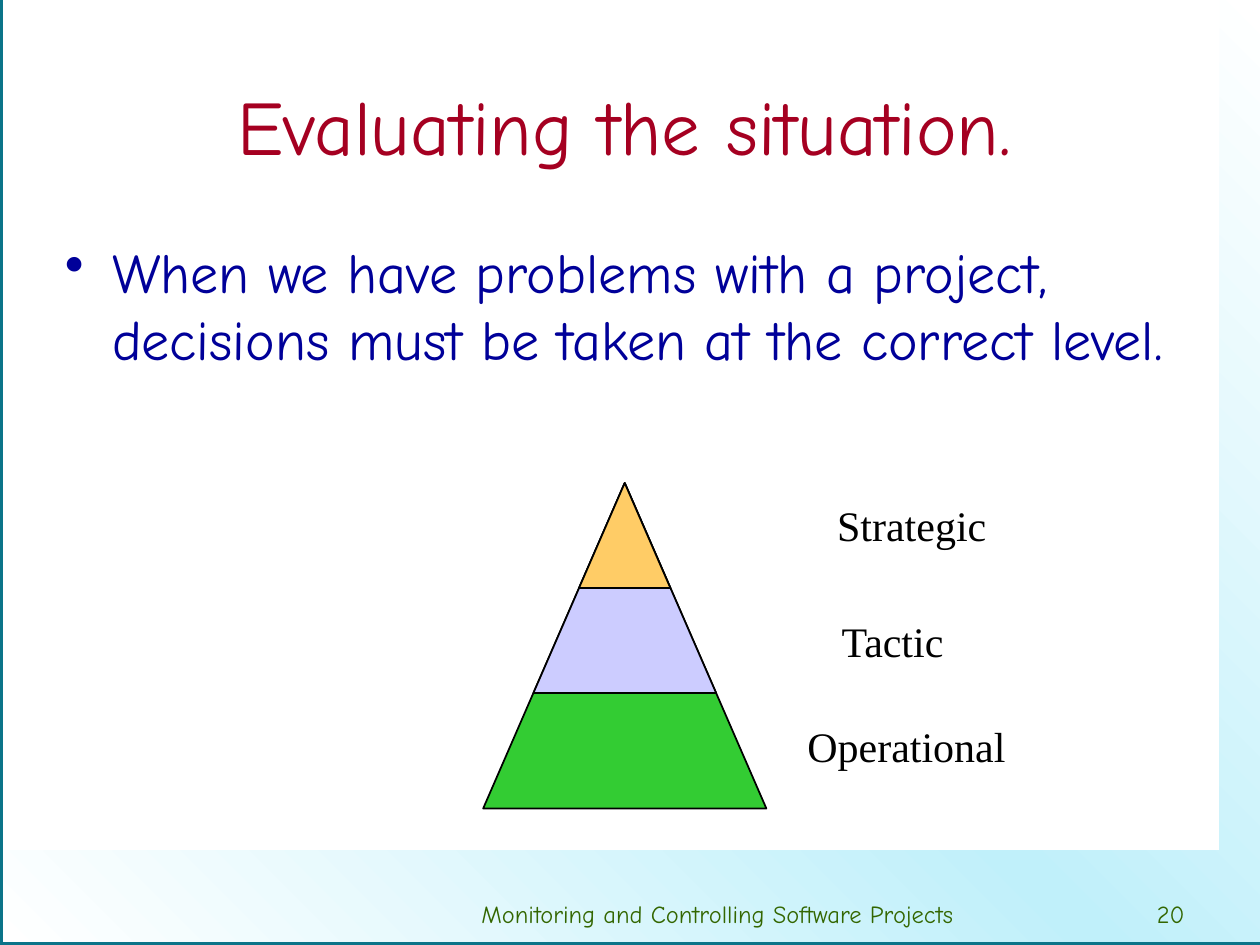
from copy import deepcopy
from dataclasses import dataclass

from lxml import etree
from pptx import Presentation
from pptx import util as u
from pptx.dml import color
from pptx.enum import shapes, text
from pptx.oxml import ns


@dataclass(frozen=True)
class Theme:
    hand: str = "Comic Neue"
    serif: str = "Times New Roman"
    title: str = "A50021"
    body: str = "000099"
    footer: str = "336600"
    ink: str = "000000"
    frame: str = "0B7489"
    band: tuple = ("FFFFFF", "C0F0FA", "FFFFFF")
    operational: str = "33CC33"
    tactic: str = "CCCCFF"
    strategic: str = "FFCC66"
    title_size: int = 44
    body_size: int = 32
    label_size: int = 24
    footer_size: int = 14


class SlideBuilder:
    def __init__(self, slide, theme):
        self.slide = slide
        self.theme = theme

    def outline(self, points, closed):
        path = self.slide.shapes.build_freeform(*points[0], scale=u.Pt(1))
        path.add_line_segments(points[1:], close=closed)
        figure = path.convert_to_shape()
        figure.shadow.inherit = False
        return figure

    def margin_band(self, points):
        band = self.outline(points, True)
        band.line.fill.background()
        band.fill.gradient()
        band.fill.gradient_angle = 45
        stops = band.fill.gradient_stops
        last = band._element.spPr.find(".//" + ns.qn("a:gsLst"))[-1]
        last.addprevious(deepcopy(last))
        stops = band.fill.gradient_stops
        for stop, position, rgb in zip(stops, (0, 0.5, 1), self.theme.band):
            stop.position = position
            stop.color.rgb = color.RGBColor.from_string(rgb)

    def frame(self, points):
        border = self.outline(points, False)
        border.fill.background()
        border.line.color.rgb = color.RGBColor.from_string(self.theme.frame)
        border.line.width = u.Pt(3)

    def triangle(self, apex_x, top, height, ratio, rgb):
        width = height * ratio
        level = self.slide.shapes.add_shape(
            shapes.MSO_SHAPE.ISOSCELES_TRIANGLE,
            u.Pt(apex_x - width / 2), u.Pt(top), u.Pt(width), u.Pt(height))
        level.shadow.inherit = False
        level.fill.solid()
        level.fill.fore_color.rgb = color.RGBColor.from_string(rgb)
        level.line.color.rgb = color.RGBColor.from_string(self.theme.ink)
        level.line.width = u.Pt(1)

    def words(self, content, box, font, size, rgb, align=text.PP_ALIGN.CENTER,
              anchor=text.MSO_ANCHOR.TOP, bullet=False):
        holder = self.slide.shapes.add_textbox(*map(u.Pt, box))
        frame = holder.text_frame
        frame.word_wrap = True
        frame.vertical_anchor = anchor
        frame.text = content
        paragraph = frame.paragraphs[0]
        paragraph.alignment = align
        if bullet:
            self.bullet(paragraph, rgb)
        run_font = paragraph.runs[0].font
        run_font.name = font
        run_font.size = u.Pt(size)
        run_font.color.rgb = color.RGBColor.from_string(rgb)

    def bullet(self, paragraph, rgb):
        properties = paragraph._p.get_or_add_pPr()
        properties.set("marL", str(u.Pt(27)))
        properties.set("indent", str(u.Pt(-27)))
        tint = etree.SubElement(properties, ns.qn("a:buClr"))
        etree.SubElement(tint, ns.qn("a:srgbClr"), val=rgb)
        etree.SubElement(properties, ns.qn("a:buChar"), char="•")


def main():
    theme = Theme()
    deck = Presentation()
    deck.slide_width, deck.slide_height = u.Pt(720), u.Pt(540)
    page = SlideBuilder(deck.slides.add_slide(deck.slide_layouts[6]), theme)

    page.margin_band([(697, 486), (697, 0), (720, 0), (720, 540), (0, 540), (0, 486)])
    page.frame([(0, 0), (0, 540), (720, 540)])

    footer = (theme.hand, theme.footer_size, theme.footer)
    page.words("Monitoring and Controlling Software Projects",
               (188, 510, 444, 18), *footer)
    page.words("20", (636, 510, 48, 18), *footer, align=text.PP_ALIGN.RIGHT)

    page.words("Evaluating the situation.", (30, 24, 654, 95), theme.hand,
               theme.title_size, theme.title, anchor=text.MSO_ANCHOR.MIDDLE)
    page.words("When we have problems with a project, decisions must be taken "
               "at the correct level.", (30, 132, 654, 342), theme.hand,
               theme.body_size, theme.body, align=text.PP_ALIGN.LEFT, bullet=True)

    levels = [
        ("Operational", 186, theme.operational, 518, 408),
        ("Tactic", 120, theme.tactic, 510, 348),
        ("Strategic", 60, theme.strategic, 521, 282),
    ]
    for name, height, rgb, label_center, label_top in levels:
        page.triangle(357, 276, height, 0.87, rgb)
        page.words(name, (label_center - 67, label_top, 134, 36), theme.serif,
                   theme.label_size, theme.ink, anchor=text.MSO_ANCHOR.MIDDLE)

    deck.save("out.pptx")


if __name__ == "__main__":
    main()
